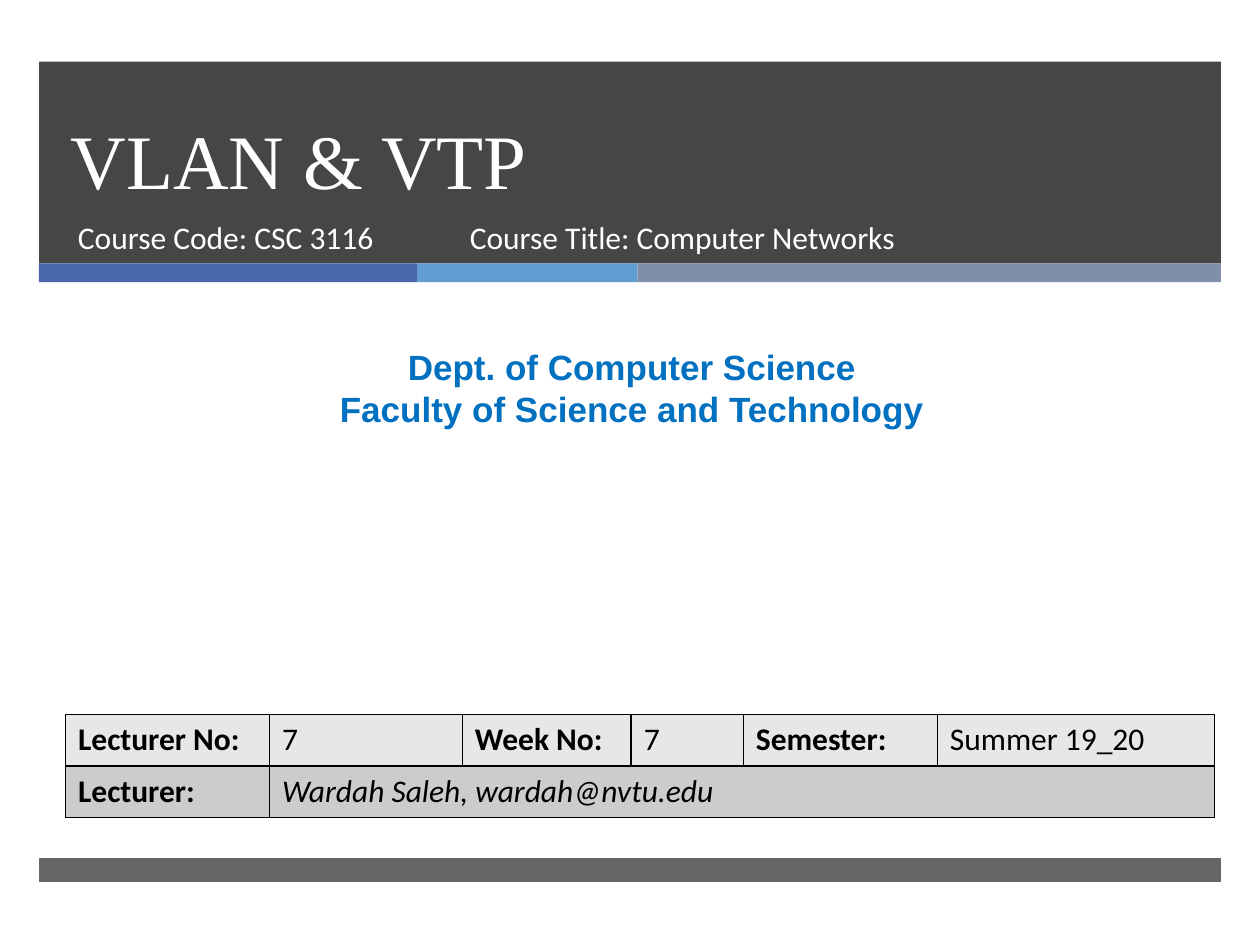
from lxml import etree
from pptx import Presentation
from pptx.dml.color import RGBColor
from pptx.enum.shapes import MSO_SHAPE
from pptx.enum.text import MSO_ANCHOR, MSO_AUTO_SIZE, PP_ALIGN
from pptx.oxml.ns import qn
from pptx.util import Inches, Pt

RECTANGLE = MSO_SHAPE.RECTANGLE
TOP, BOTTOM = MSO_ANCHOR.TOP, MSO_ANCHOR.BOTTOM
LEFT, CENTER = PP_ALIGN.LEFT, PP_ALIGN.CENTER
NO_AUTOFIT = MSO_AUTO_SIZE.NONE

# Content
TITLE = "VLAN & VTP"
COURSE_LINES = [  # text, left, width
    ("Course Code: CSC 3116", 0.52, 3.05),
    ("Course Title: Computer Networks", 3.63, 4.55),
]
DEPARTMENT = "Dept. of Computer Science\nFaculty of Science and Technology"
LECTURE_ROWS = [
    ["Lecturer No:", "7", "Week No:", "7", "Semester:", "Summer 19_20"],
    ["Lecturer:", "Wardah Saleh, wardah@nvtu.edu"],
]
COLUMN_WIDTHS = [1.62, 1.53, 1.34, 0.89, 1.54, 2.2]
ROW_HEIGHT = 0.41
ROW_FILLS = ["E7E7E7", "CCCCCC"]

# Bands: top, height, colour, opacity in percent
BAND_LEFT, BAND_WIDTH = 0.31, 9.38
DARK_BANDS = [(0.49, 1.6, "262626", 85), (6.81, 0.19, "262626", 70)]
STRIPES = [(3, "4A66AC"), (1.75, "629DD1"), (4.63, "7F8FA9")]


def rgb(value):
    return RGBColor.from_string(value)


def add_band(left, top, width, height, color, opacity=100):
    band = slide.shapes.add_shape(RECTANGLE, Inches(left), Inches(top),
                                  Inches(width), Inches(height))
    band.shadow.inherit = False
    band.line.fill.background()
    band.fill.solid()
    band.fill.fore_color.rgb = rgb(color)
    if opacity < 100:
        srgb = band.fill._xPr.find(".//" + qn("a:srgbClr"))
        etree.SubElement(srgb, qn("a:alpha"), val=str(opacity * 1000))


def write(frame, text, size, font, color, align=LEFT, bold=False, italic=False):
    frame.text = text
    for paragraph in frame.paragraphs:
        paragraph.alignment = align
        for run in paragraph.runs:
            run.font.size = Pt(size)
            run.font.name = font
            run.font.bold = bold
            run.font.italic = italic
            run.font.color.rgb = rgb(color)


def add_text(left, top, width, height, text, *style, **options):
    box = slide.shapes.add_textbox(Inches(left), Inches(top),
                                   Inches(width), Inches(height))
    box.text_frame.word_wrap = True
    box.text_frame.vertical_anchor = TOP
    write(box.text_frame, text, *style, **options)


def add_borders(cell, color="000000", points=1):
    properties = cell._tc.get_or_add_tcPr()
    for position, side in enumerate(("a:lnL", "a:lnR", "a:lnT", "a:lnB")):
        line = etree.Element(qn(side), w=str(Pt(points)))
        fill = etree.SubElement(line, qn("a:solidFill"))
        etree.SubElement(fill, qn("a:srgbClr"), val=color)
        properties.insert(position, line)


presentation = Presentation()
presentation.slide_width, presentation.slide_height = Inches(10), Inches(7.5)
slide = presentation.slides.add_slide(presentation.slide_layouts[5])

# Header and footer bands
for top, height, color, opacity in DARK_BANDS:
    add_band(BAND_LEFT, top, BAND_WIDTH, height, color, opacity)
stripe_left = BAND_LEFT
for width, color in STRIPES:
    add_band(stripe_left, 2.09, width, 0.15, color)
    stripe_left += width

# Title, brought in front of the header band
title = slide.shapes.title
title.left, title.top = Inches(0.46), Inches(0.49)
title.width, title.height = Inches(8.54), Inches(1.19)
title.text_frame.vertical_anchor = BOTTOM
title.text_frame.auto_size = NO_AUTOFIT
write(title.text_frame, TITLE, 44, "Times New Roman", "FFFFFF")
title.text_frame.paragraphs[0].line_spacing = Pt(46)
slide.shapes._spTree.append(title._element)

# Course and department
for text, left, width in COURSE_LINES:
    add_text(left, 1.68, width, 0.53, text, 18, "Calibri", "FFFFFF")
add_text(0.08, 2.69, 9.87, 0.77, DEPARTMENT, 20, "Arial", "0070C0",
         align=CENTER, bold=True)

# Lecture details
table = slide.shapes.add_table(
    len(LECTURE_ROWS), len(COLUMN_WIDTHS), Inches(0.52), Inches(5.67),
    Inches(sum(COLUMN_WIDTHS)), Inches(ROW_HEIGHT * len(LECTURE_ROWS))).table
for column, width in zip(table.columns, COLUMN_WIDTHS):
    column.width = Inches(width)
table.cell(1, 1).merge(table.cell(1, len(COLUMN_WIDTHS) - 1))
for r, (values, fill) in enumerate(zip(LECTURE_ROWS, ROW_FILLS)):
    table.rows[r].height = Inches(ROW_HEIGHT)
    for c in range(len(COLUMN_WIDTHS)):
        cell = table.cell(r, c)
        cell.fill.solid()
        cell.fill.fore_color.rgb = rgb(fill)
        add_borders(cell)
        if c < len(values):
            is_label = c % 2 == 0
            write(cell.text_frame, values[c], 18, "Calibri", "000000",
                  bold=is_label, italic=r == 1 and not is_label)

presentation.save("out.pptx")
